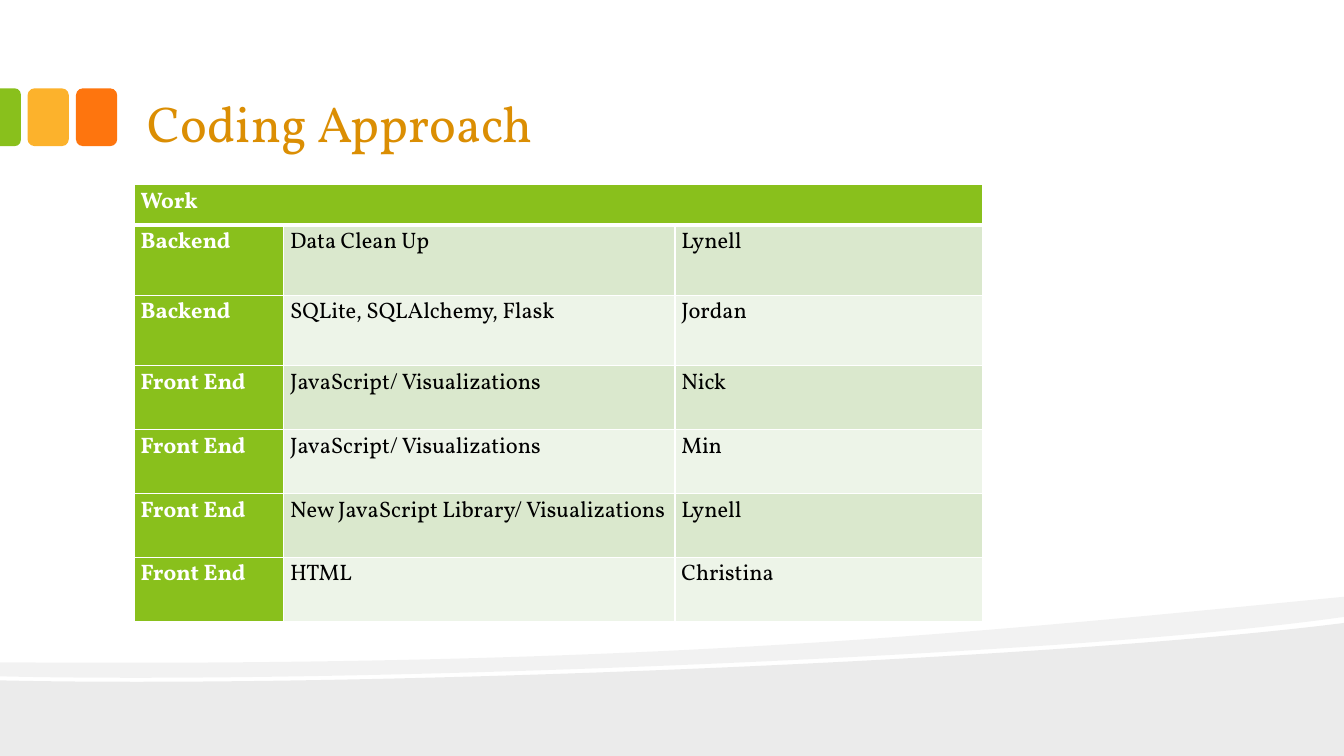
from dataclasses import dataclass

from lxml import etree
from pptx import Presentation, util as u
from pptx.dml.color import RGBColor
from pptx.enum import shapes, text
from pptx.oxml import ns

# The slide is a grid of 160 columns by 90 rows, twelve to the inch.
COLUMNS, ROWS = 160, 90
CELL = u.Inches(1) // 12
FONT = "Vollkorn"
COLORS = {
    "title": "DB8E03",
    "green": "89C01C",
    "yellow": "FCB22C",
    "orange": "FE750E",
    "band_dark": "DAE8CD",
    "band_light": "EDF4E8",
    "white": "FFFFFF",
    "black": "000000",
}

Point = tuple[float, float]


@dataclass(frozen=True)
class Box:
    left: float
    top: float
    width: float
    height: float

    def emu(self) -> list[int]:
        return [grid(n) for n in (self.left, self.top, self.width, self.height)]


@dataclass(frozen=True)
class Tile:
    box: Box
    color: str
    preset: shapes.MSO_SHAPE = shapes.MSO_SHAPE.ROUNDED_RECTANGLE
    rotation: int = 0
    corners: tuple[float, ...] = (0.17,)


@dataclass(frozen=True)
class Wave:
    """A closed outline; a segment is a line (one point) or a curve (three)."""
    start: Point
    segments: tuple[tuple[Point, ...], ...]
    opacity: int


@dataclass(frozen=True)
class Task:
    area: str
    work: str
    person: str


WAVES = (
    Wave((0, 81),
         (((42.24, 81.96), (125.04, 78.6), (160, 74.16)),
          ((160, 90),),
          ((0, 90),)), 8),
    Wave((160, 73.44),
         (((150.6, 74.76), (137.88, 75.96), (123.48, 76.92)),
          ((83.76, 79.56), (30.96, 81.24), (0, 80.52)),
          ((0, 78.84),),
          ((78.24, 79.44), (116.52, 75.24), (160, 71.04))), 5),
)
TILES = (
    Tile(Box(9.04, 10.52, 4.92, 6.88), "orange"),
    Tile(Box(3.28, 10.52, 4.92, 6.88), "yellow"),
    Tile(Box(-2.2, 12.72, 6.88, 2.48), "green",
         shapes.MSO_SHAPE.ROUND_2_SAME_RECTANGLE, 90, (0.29, 0)),
)
TITLE_BOX = Box(16, 2.1, 128, 17)
TABLE_COLUMNS = (17.8, 46.56, 36.6)
TABLE_ROWS = (4.8, 8.36, 8.4, 7.6, 7.6, 7.6, 7.6)
TABLE_BOX = Box(16, 22, sum(TABLE_COLUMNS), sum(TABLE_ROWS))
TASKS = (
    Task("Backend", "Data Clean Up", "Lynell"),
    Task("Backend", "SQLite, SQLAlchemy, Flask", "Jordan"),
    Task("Front End", "JavaScript/ Visualizations", "Nick"),
    Task("Front End", "JavaScript/ Visualizations", "Min"),
    Task("Front End", "New JavaScript Library/ Visualizations", "Lynell"),
    Task("Front End", "HTML", "Christina"),
)


def grid(cells: float) -> int:
    return round(cells * CELL)


def rgb(name: str) -> RGBColor:
    return RGBColor.from_string(COLORS[name])


def paint(shape, color: str) -> None:
    shape.shadow.inherit = False
    shape.fill.solid()
    shape.fill.fore_color.rgb = rgb(color)
    shape.line.fill.background()


def add_run(paragraph, words: str, size: int, color: str, bold: bool = False) -> None:
    run = paragraph.add_run()
    run.text = words
    run.font.name = FONT
    run.font.size = u.Pt(size)
    run.font.bold = bold
    run.font.color.rgb = rgb(color)


def bend_segments(shape, wave: Wave) -> None:
    """Turn each run of three straight lines that stands for a curve into one."""
    lines = iter(shape._element.findall(".//" + ns.qn("a:lnTo")))
    for segment in wave.segments:
        first, *others = [next(lines) for _ in segment]
        if not others:
            continue
        curve = etree.Element(ns.qn("a:cubicBezTo"))
        first.addprevious(curve)
        for line in (first, *others):
            curve.append(line[0])
            line.getparent().remove(line)


def add_wave(slide, wave: Wave) -> None:
    points = [(grid(x), grid(y)) for segment in wave.segments for x, y in segment]
    builder = slide.shapes.build_freeform(*map(grid, wave.start))
    builder.add_line_segments(points, close=True)
    shape = builder.convert_to_shape()
    bend_segments(shape, wave)
    paint(shape, "black")
    color = shape._element.spPr.find(".//" + ns.qn("a:srgbClr"))
    etree.SubElement(color, ns.qn("a:alpha"), val=str(wave.opacity * 1000))


def add_tile(slide, tile: Tile) -> None:
    shape = slide.shapes.add_shape(tile.preset, *tile.box.emu())
    shape.rotation = tile.rotation
    for index, corner in enumerate(tile.corners):
        shape.adjustments[index] = corner
    paint(shape, tile.color)


def add_title(slide, words: str) -> None:
    frame = slide.shapes.add_textbox(*TITLE_BOX.emu()).text_frame
    frame.word_wrap = True
    frame.vertical_anchor = text.MSO_ANCHOR.BOTTOM
    frame.margin_left = frame.margin_right = grid(1.6)
    frame.margin_top = frame.margin_bottom = grid(0.8)
    paragraph = frame.paragraphs[0]
    paragraph.line_spacing = 0.9
    add_run(paragraph, words, 36, "title")


def set_borders(cell, top: int = 1, bottom: int = 1) -> None:
    """Draw white cell borders; widths are in points."""
    properties = cell._tc.get_or_add_tcPr()
    for side, width in (("L", 1), ("R", 1), ("T", top), ("B", bottom)):
        line = etree.SubElement(properties, ns.qn("a:ln" + side), w=str(u.Pt(width)))
        fill = etree.SubElement(line, ns.qn("a:solidFill"))
        etree.SubElement(fill, ns.qn("a:srgbClr"), val=COLORS["white"])


def style_cell(cell, row: int, column: int) -> None:
    heading = row == 0 or column == 0
    band = "band_dark" if row % 2 else "band_light"
    set_borders(cell, top=3 if row == 1 else 1, bottom=3 if row == 0 else 1)
    cell.fill.solid()
    cell.fill.fore_color.rgb = rgb("green" if heading else band)
    cell.margin_left = cell.margin_right = grid(0.75)
    cell.margin_top = cell.margin_bottom = 0


def add_work_table(slide) -> None:
    table = slide.shapes.add_table(
        len(TABLE_ROWS), len(TABLE_COLUMNS), *TABLE_BOX.emu()).table
    for column, width in zip(table.columns, TABLE_COLUMNS):
        column.width = grid(width)
    for row, height in zip(table.rows, TABLE_ROWS):
        row.height = grid(height)
    table.cell(0, 0).merge(table.cell(0, len(TABLE_COLUMNS) - 1))
    lines = [("Work", "", "")] + [(t.area, t.work, t.person) for t in TASKS]
    for row, line in enumerate(lines):
        for column, words in enumerate(line):
            cell = table.cell(row, column)
            style_cell(cell, row, column)
            if words:
                heading = column == 0
                paragraph = cell.text_frame.paragraphs[0]
                paragraph.line_spacing = 1.07
                add_run(paragraph, words, 16, "white" if heading else "black", heading)


def main() -> None:
    presentation = Presentation()
    presentation.slide_width = grid(COLUMNS)
    presentation.slide_height = grid(ROWS)
    slide = presentation.slides.add_slide(presentation.slide_layouts[6])
    for wave in WAVES:
        add_wave(slide, wave)
    for tile in TILES:
        add_tile(slide, tile)
    add_title(slide, "Coding Approach")
    add_work_table(slide)
    presentation.save("out.pptx")


if __name__ == "__main__":
    main()
